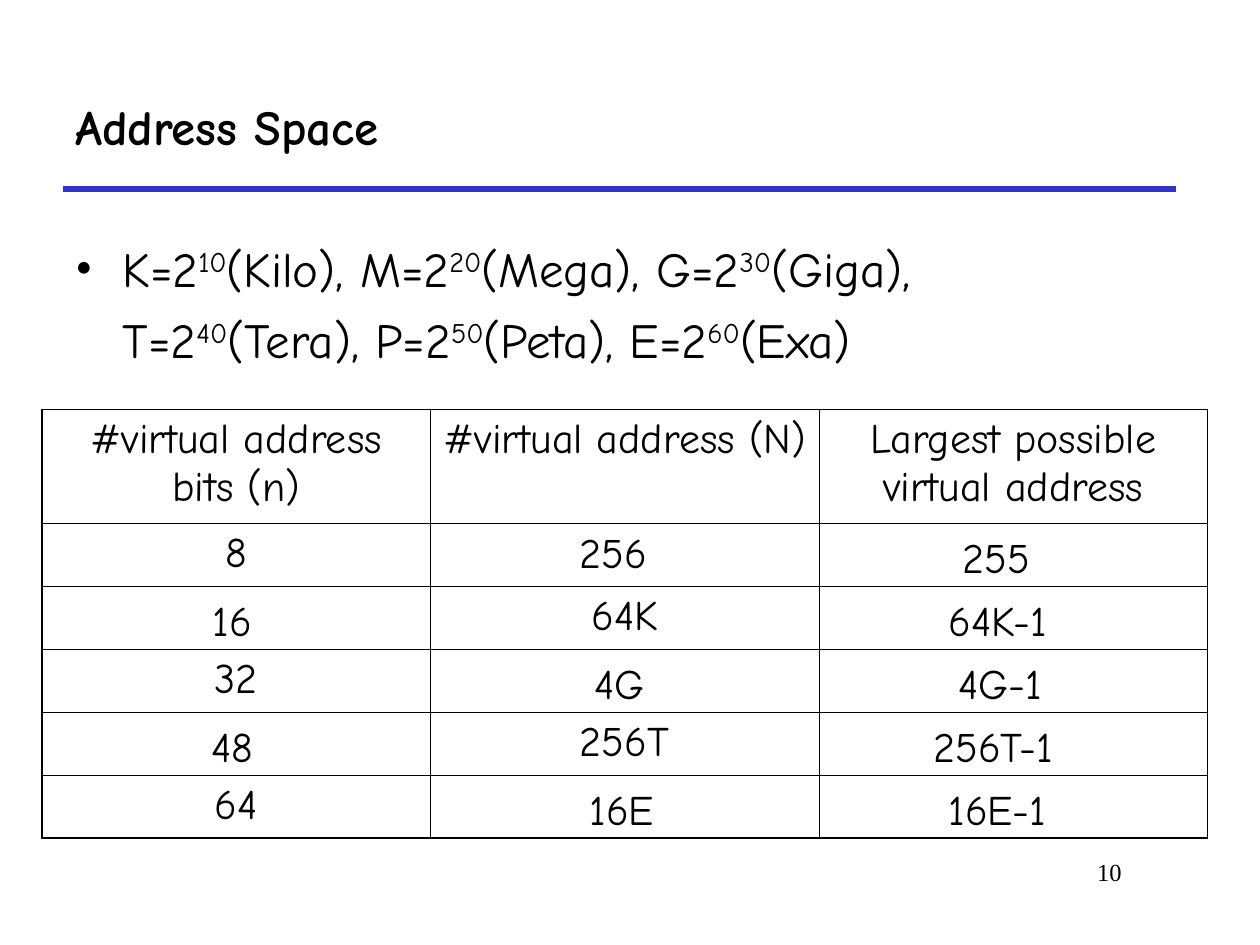
from lxml.etree import SubElement
from pptx import Presentation
from pptx.dml.color import RGBColor
from pptx.enum.shapes import MSO_CONNECTOR
from pptx.enum.text import MSO_ANCHOR, MSO_AUTO_SIZE, PP_ALIGN
from pptx.oxml.ns import qn
from pptx.util import Inches, Pt


def color(hex_value):
    return RGBColor.from_string(hex_value)


class Deck:
    font, serif = "Comic Neue", "Times New Roman"
    ink, rule = "000000", "3333CC"
    outer, inner = 1.08, 0.45

    def __init__(self, width, height):
        self.prs = Presentation()
        self.prs.slide_width, self.prs.slide_height = Inches(width), Inches(height)
        self.s = self.prs.slides.add_slide(self.prs.slide_layouts[6])

    def run(self, p, text, size, bold=False, font=None, raised=False):
        r = p.add_run()
        r.text = text
        r.font.name, r.font.size, r.font.bold = font or self.font, Pt(size), bold
        r.font.color.rgb = color(self.ink)
        if raised:
            r.font._element.set("baseline", "30000")

    def text(self, box, runs, size, align=PP_ALIGN.LEFT, anchor=MSO_ANCHOR.TOP,
             wrap=True, bold=False, font=None):
        sp = self.s.shapes.add_textbox(*map(Inches, box))
        tf = sp.text_frame
        tf.word_wrap, tf.vertical_anchor = wrap, anchor
        if not wrap:
            tf.auto_size = MSO_AUTO_SIZE.SHAPE_TO_FIT_TEXT
        p = tf.paragraphs[0]
        p.alignment = align
        for text, raised in runs:
            self.run(p, text, size, bold, font, raised)
        return p

    def bullet(self, box, runs, size, indent):
        p = self.text(box, runs, size)
        p.line_spacing, p.space_before = 1.2, Pt(7)
        pPr = p._p.get_or_add_pPr()
        pPr.set("marL", str(Inches(indent)))
        pPr.set("indent", str(-Inches(indent)))
        SubElement(pPr, qn("a:buFont"), typeface=self.serif)
        SubElement(pPr, qn("a:buChar"), char="•")

    def line(self, x1, y1, x2, y2, width):
        c = self.s.shapes.add_connector(MSO_CONNECTOR.STRAIGHT, *map(Inches, (x1, y1, x2, y2)))
        c.line.color.rgb, c.line.width = color(self.rule), Pt(width)
        SubElement(c._element.spPr, qn("a:effectLst"))

    def border(self, cell, side, width):
        ln = SubElement(cell._tc.get_or_add_tcPr(), qn("a:ln" + side), w=str(Pt(width)))
        fill = SubElement(ln, qn("a:solidFill"))
        SubElement(fill, qn("a:srgbClr"), val=self.ink)

    def table(self, box, heights, rows, size):
        n_rows, n_cols = len(rows), len(rows[0])
        t = self.s.shapes.add_table(n_rows, n_cols, *map(Inches, box)).table
        t.first_row = t.horz_banding = False
        for row, height in zip(t.rows, heights):
            row.height = Inches(height)
        for i, values in enumerate(rows):
            for j, value in enumerate(values):
                cell = t.cell(i, j)
                edges = {"L": j == 0, "R": j == n_cols - 1, "T": i == 0, "B": i == n_rows - 1}
                for side, is_outer in edges.items():
                    self.border(cell, side, self.outer if is_outer else self.inner)
                cell.fill.background()
                if value:
                    p = cell.text_frame.paragraphs[0]
                    p.alignment, p.space_before = PP_ALIGN.CENTER, Pt(6)
                    self.run(p, value, size)


deck = Deck(10, 7.5)

# Title, rule and page number
deck.line(0.5, 1.5, 9.33, 1.5, 3)
deck.text((7.58, 6.75, 1.42, 0.5), [("10", False)], 14, PP_ALIGN.RIGHT, font=deck.serif)
deck.text((0.5, 0.5, 8.83, 1), [("Address Space", False)], 28, anchor=MSO_ANCHOR.MIDDLE, bold=True)

# Unit prefixes as powers of two
prefixes = ["Kilo", "Mega", "Giga", "Tera", "Peta", "Exa"]
runs, lead = [], ""
for k, name in enumerate(prefixes, 1):
    runs += [(f"{lead}{name[0]}=2", False), (str(10 * k), True)]
    lead = f"({name}), "
runs.append((lead.rstrip(", "), False))
deck.bullet((0.5, 1.75, 8.25, 1.25), runs, 28, 3 / 8)

# Address table
deck.table((1 / 3, 3.25, 9.25, 3.4), [0.9] + [0.5] * 5, [
    ["#virtual address bits (n)", "#virtual address (N)", "Largest possible virtual address"],
    ["8", "", ""],
    ["", "64K", ""],
    ["32", "", ""],
    ["", "256T", ""],
    ["64", "", ""],
], 24)

# Answers laid over the open cells: left, top, width
answers = {
    "256": (4.5, 4.13, 0.77), "255": (7.54, 4.17, 0.77),
    "16": (1.59, 4.67, 0.55), "64K-1": (7.43, 4.67, 1.03),
    "4G": (4.62, 5.17, 0.64), "4G-1": (7.51, 5.17, 0.9),
    "48": (1.58, 5.67, 0.57), "256T-1": (7.31, 5.67, 1.21),
    "16E": (4.58, 6.17, 0.75), "16E-1": (7.43, 6.17, 1.02),
}
for answer, place in answers.items():
    deck.text((*place, 0.5), [(answer, False)], 24, wrap=False)

deck.prs.save("out.pptx")
